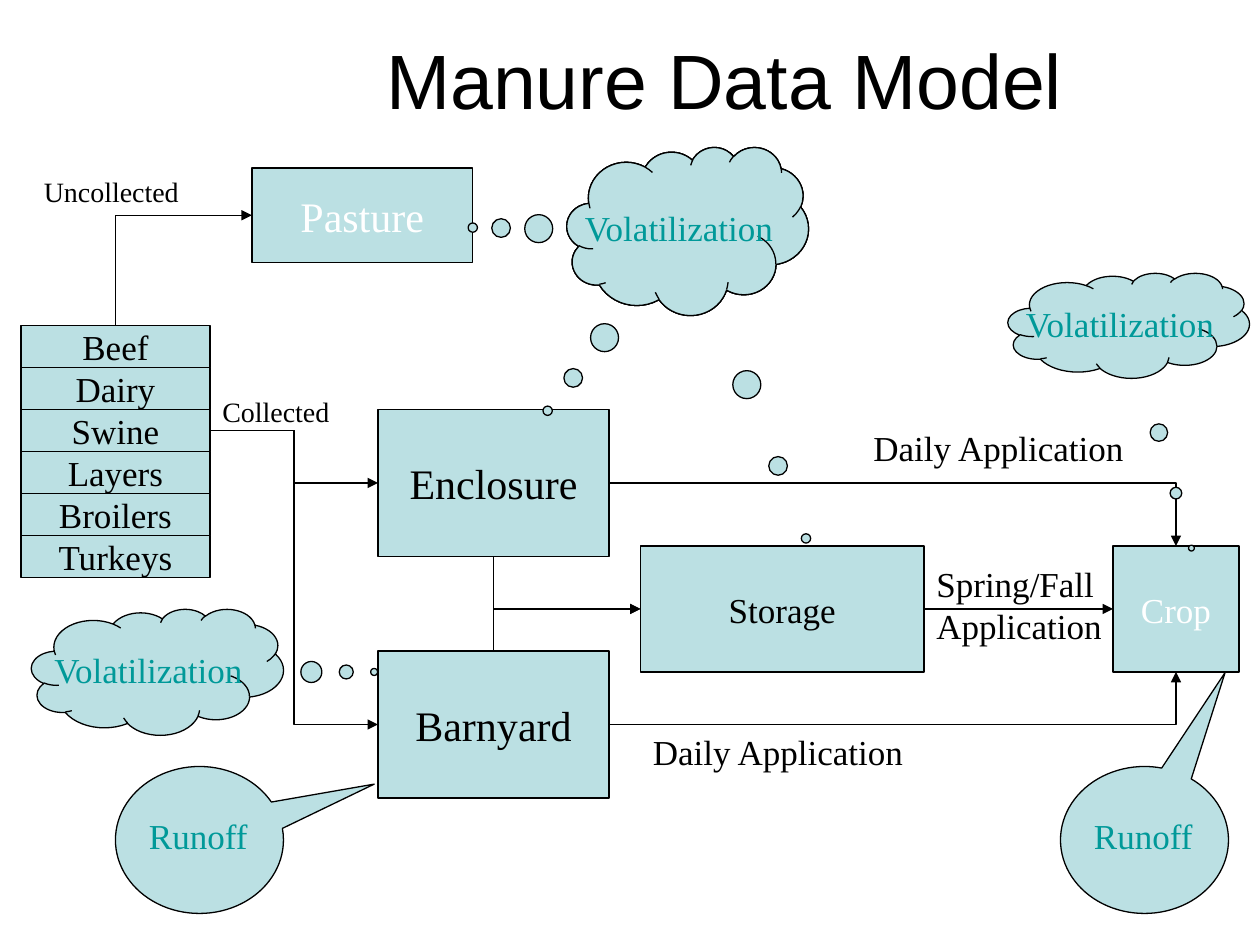
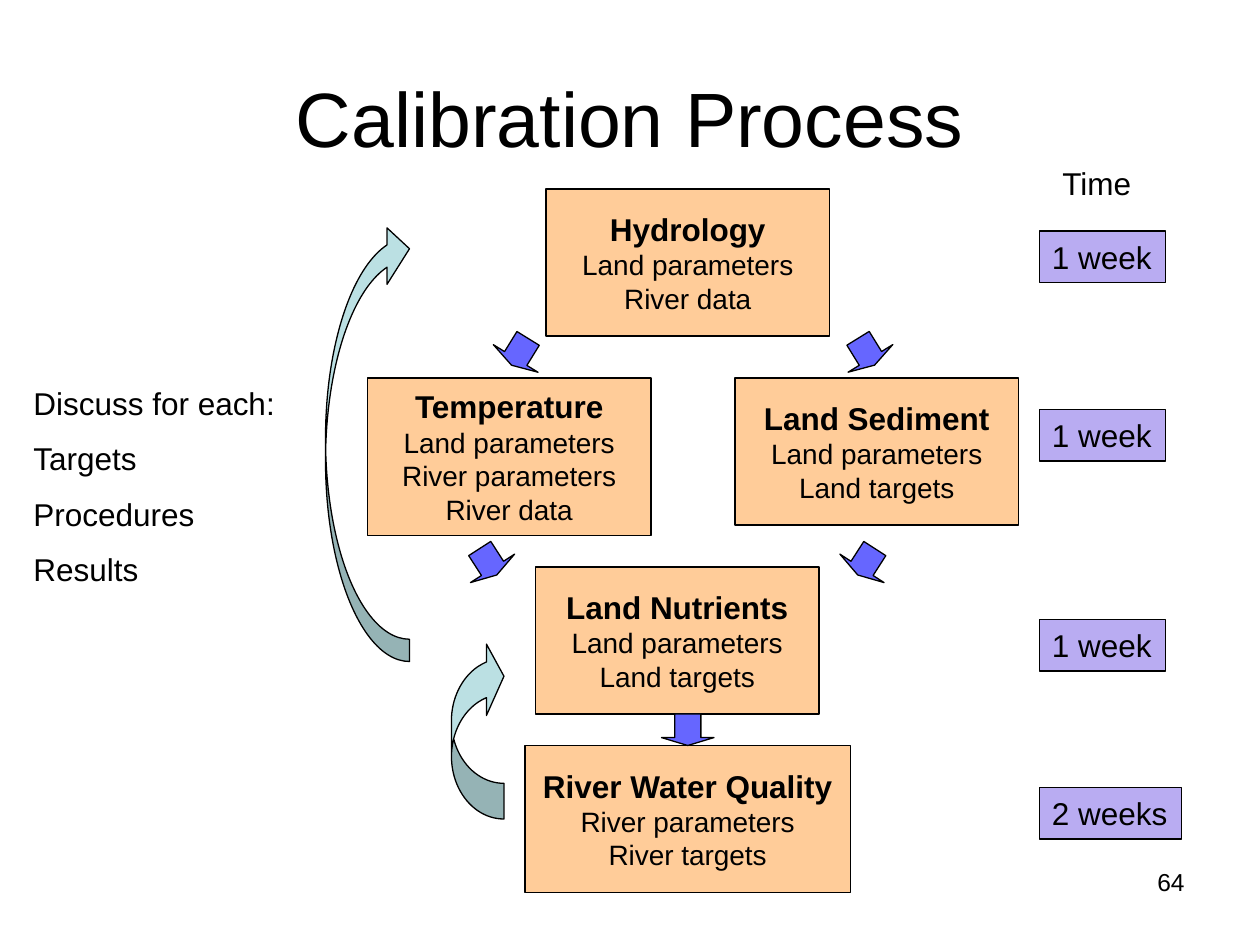
from dataclasses import dataclass

from lxml import etree
from pptx import Presentation
from pptx.dml.color import RGBColor
from pptx.enum.shapes import MSO_CONNECTOR, MSO_SHAPE
from pptx.enum.text import MSO_ANCHOR, PP_ALIGN
from pptx.oxml.ns import qn
from pptx.util import Pt

RECT, PROCESS = MSO_SHAPE.RECTANGLE, MSO_SHAPE.FLOWCHART_PROCESS
CLOUD, BUBBLE = MSO_SHAPE.CLOUD_CALLOUT, MSO_SHAPE.OVAL_CALLOUT
RIGHT_ARROW = MSO_SHAPE.RIGHT_ARROW
CURVED_LEFT, CURVED_RIGHT = MSO_SHAPE.CURVED_LEFT_ARROW, MSO_SHAPE.CURVED_RIGHT_ARROW
STRAIGHT, ELBOW = MSO_CONNECTOR.STRAIGHT, MSO_CONNECTOR.ELBOW
LEFT, CENTER, RIGHT = PP_ALIGN.LEFT, PP_ALIGN.CENTER, PP_ALIGN.RIGHT
TOP, MIDDLE = MSO_ANCHOR.TOP, MSO_ANCHOR.MIDDLE


@dataclass(frozen=True)
class Theme:
    black: RGBColor = RGBColor.from_string("000000")
    white: RGBColor = RGBColor.from_string("FFFFFF")
    aqua: RGBColor = RGBColor.from_string("BBE0E3")
    teal: RGBColor = RGBColor.from_string("009999")
    peach: RGBColor = RGBColor.from_string("FFCC99")
    lilac: RGBColor = RGBColor.from_string("B9ACF2")
    blue: RGBColor = RGBColor.from_string("6666FF")
    sans: str = "Arial"
    serif: str = "Times New Roman"
    title: int = 44
    node: int = 24
    label: int = 20
    heading: int = 18
    detail: int = 16
    number: int = 14
    line: float = 0.75


T = Theme()


def put(s, kind, at, lines=(), size=T.label, color=T.black, font=T.serif,
        fill=T.aqua, align=None, adj=(), gap=0):
    """Add a preset shape, or a text box when kind is None, with one paragraph per line."""
    box = [Pt(v) for v in at]
    if kind is None:
        sp = s.shapes.add_textbox(*box)
    else:
        sp = s.shapes.add_shape(kind, *box)
        sp.shadow.inherit = False
        sp.fill.solid()
        sp.fill.fore_color.rgb = fill
        sp.line.color.rgb = T.black
        sp.line.width = Pt(T.line)
        for i, value in enumerate(adj):
            sp.adjustments[i] = value
    tf = sp.text_frame
    tf.word_wrap = False
    tf.vertical_anchor = TOP if kind is None else MIDDLE
    for i, text in enumerate(lines):
        p = tf.add_paragraph() if i else tf.paragraphs[0]
        p.alignment = align or (LEFT if kind is None else CENTER)
        if i and gap:
            p.space_before = Pt(gap)
        r = p.add_run()
        r.text = text
        r.font.name, r.font.size, r.font.color.rgb = font, Pt(size), color
    return sp


def connect(s, kind, start, end, arrow="tailEnd", corner=False):
    """Join two points; a corner connector runs across first, then up or down."""
    line = s.shapes.add_connector(kind, *[Pt(v) for v in (*start, *end)])
    line.line.color.rgb = T.black
    line.line.width = Pt(T.line)
    props = line._element.spPr
    if corner:
        props.find(qn("a:prstGeom")).set("prst", "bentConnector2")
    etree.SubElement(props.find(qn("a:ln")), qn(f"a:{arrow}"), type="triangle")
    etree.SubElement(props, qn("a:effectLst"))


prs = Presentation()
prs.slide_width, prs.slide_height = Pt(720), Pt(540)

slides = []
for text, at in (("Manure Data Model", (108, 0, 612, 90)),
                 ("Calibration Process", (36, 21.6, 648, 90))):
    s = prs.slides.add_slide(prs.slide_layouts[5])
    title = s.shapes.title
    title.left, title.top, title.width, title.height = [Pt(v) for v in at]
    title.text_frame.vertical_anchor = MIDDLE
    p = title.text_frame.paragraphs[0]
    p.alignment = CENTER
    r = p.add_run()
    r.text = text
    r.font.name, r.font.size, r.font.color.rgb = T.sans, Pt(T.title), T.black
    slides.append(s)
manure, calibration = slides

# Manure data model: animals, places and flows
for i, animal in enumerate(("Beef", "Dairy", "Swine", "Layers", "Broilers", "Turkeys")):
    put(manure, RECT, (12, 186 + 24 * i, 108, 24), [animal])

for place, at, size, color in (
    ("Pasture", (144, 96, 126, 54), T.node, T.white),
    ("Enclosure", (216, 234, 132, 84), T.node, T.black),
    ("Barnyard", (216, 372, 132, 84), T.node, T.black),
    ("Storage", (366, 312, 162, 72), T.label, T.black),
    ("Crop", (636, 312, 72, 72), T.label, T.white),
):
    put(manure, RECT, at, [place], size, color)

connect(manure, ELBOW, (144, 123), (66, 186), "headEnd", corner=True)
for y in (276, 414):
    connect(manure, ELBOW, (120, 246), (216, y))
for y, crop_edge in ((276, 312), (414, 384)):
    connect(manure, ELBOW, (348, y), (672, crop_edge), corner=True)
for y in (318, 372):
    connect(manure, ELBOW, (366, 348), (282, y), "headEnd", corner=True)
connect(manure, STRAIGHT, (528, 348), (636, 348))

for text, at, size in (
    ("Uncollected", (18, 96, 92, 27), T.detail),
    ("Collected", (120, 222, 76, 27), T.detail),
    ("Daily Application", (366, 414, 158, 31), T.label),
    ("Daily Application", (492, 240, 158, 31), T.label),
):
    put(manure, None, at, [text], size)
season = put(manure, None, (528, 318, 114, 55), ["Spring/Fall", "Application"])
season.text_frame.word_wrap = True

shared_cloud = (324, 84, 138, 96)
for at, tip in (
    (shared_cloud, (-0.58, 1.07)),
    (shared_cloud, (0.49, 1.83)),
    (shared_cloud, (-0.89, -0.02)),
    ((18, 348, 144, 72), (0.86, 0)),
    ((576, 156, 138, 60), (0.26, 2.12)),
):
    put(manure, CLOUD, at, ["Volatilization"], color=T.teal, adj=tip)

for x, tip in ((66, (1.04, -0.38)), (606, (0.48, -1.14))):
    put(manure, BUBBLE, (x, 438, 96, 84), adj=tip)
    put(manure, None, (x + 12, 462, 71, 31), ["Runoff"], color=T.teal)

# Calibration process: steps, order, loops and time
for at, heading, *details in (
    ((312, 108, 162, 84), "Hydrology", "Land parameters", "River data"),
    ((210, 216, 162, 90), "Temperature", "Land parameters", "River parameters", "River data"),
    ((420, 216, 162, 84), "Land Sediment", "Land parameters", "Land targets"),
    ((306, 324, 162, 84), "Land Nutrients", "Land parameters", "Land targets"),
    ((300, 426, 186, 84), "River Water Quality", "River parameters", "River targets"),
):
    step = put(calibration, PROCESS, at, [heading, *details], T.detail,
               font=T.sans, fill=T.peach)
    r = step.text_frame.paragraphs[0].runs[0]
    r.font.size, r.font.bold = Pt(T.heading), True

for x, y, angle in ((288, 186, 121.7), (486, 186, 58.3), (270, 306, 57.2),
                    (486, 306, 122.8), (384, 402, 90)):
    arrow = put(calibration, RIGHT_ARROW, (x, y, 18, 30), fill=T.blue, adj=(0.5, 0.25))
    arrow.rotation = angle

long_loop = put(calibration, CURVED_LEFT, (186, 126, 48, 252), adj=(0.265, 0.672, 0.268))
short_loop = put(calibration, CURVED_RIGHT, (258, 366, 30, 102), adj=(0.68, 1.36, 0.333))
long_loop.rotation = short_loop.rotation = 180
short_loop._element.spPr.find(qn("a:xfrm")).set("flipH", "1")

put(calibration, None, (600, 90, 55, 29), ["Time"], T.heading, font=T.sans)
for y, width, duration in ((132, 72, "1 week"), (234, 72, "1 week"),
                           (354, 72, "1 week"), (450, 81, "2 weeks")):
    put(calibration, RECT, (594, y, width, 29.5), [duration], T.heading,
        font=T.sans, fill=T.lilac, align=LEFT)

topics = put(calibration, None, (12, 216, 156, 127),
             ["Discuss for each:", "Targets", "Procedures", "Results"],
             T.heading, font=T.sans, gap=10)
number = put(calibration, None, (516, 492, 168, 37), ["64"], T.number,
             font=T.sans, align=RIGHT)
for sp in (topics, number):
    sp.text_frame.word_wrap = True

prs.save("out.pptx")
